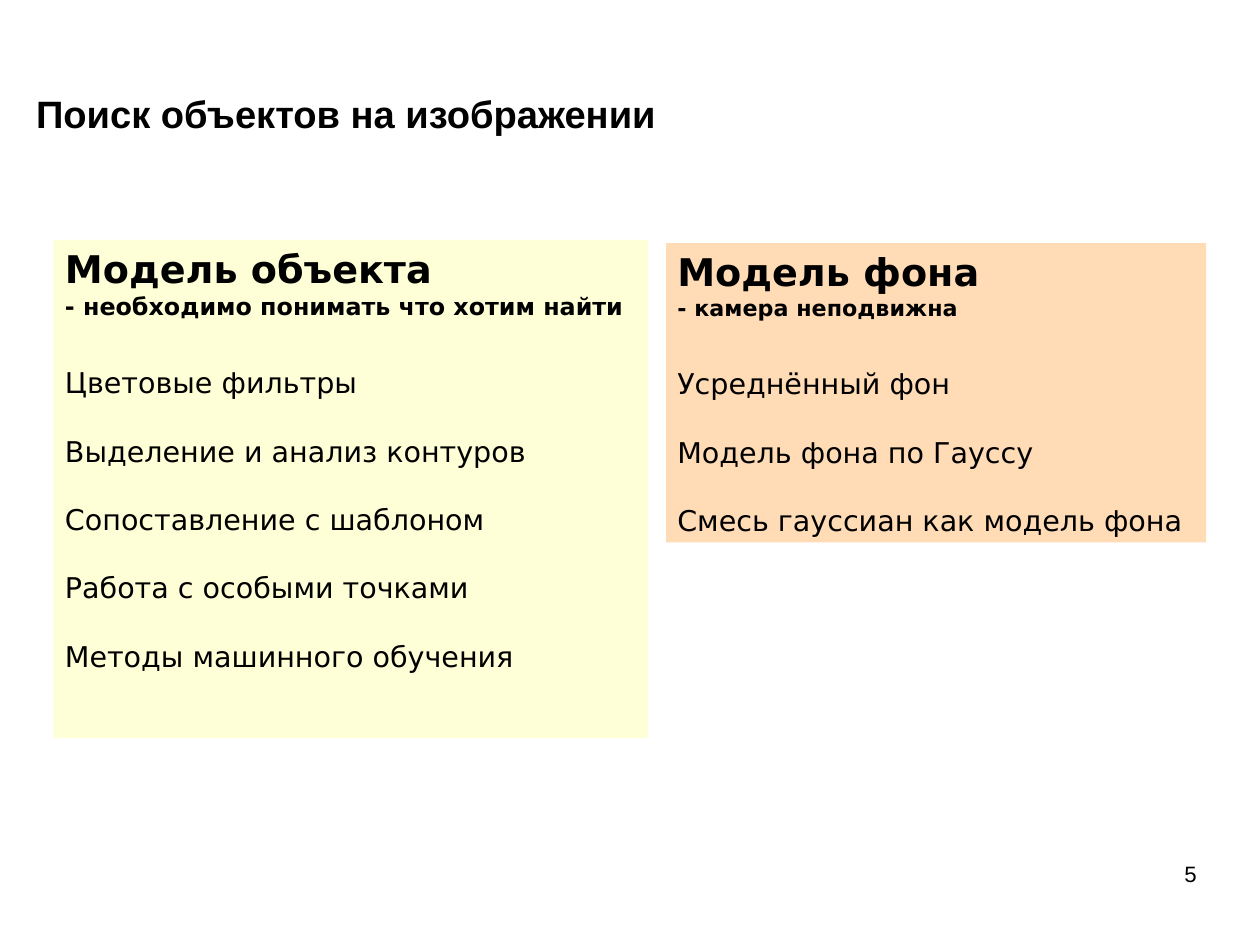
from pptx import Presentation
from pptx.dml.color import RGBColor
from pptx.enum.shapes import MSO_SHAPE
from pptx.enum.text import MSO_ANCHOR, PP_ALIGN
from pptx.util import Cm, Inches, Pt

deck = Presentation()
deck.slide_width, deck.slide_height = Cm(28), Cm(21)
slide = deck.slides.add_slide(deck.slide_layouts[6])
col, row = deck.slide_width / 100, deck.slide_height / 100

HEAD = {"name": "DejaVu Sans", "size": Pt(24), "bold": True}
ITEM = {"name": "DejaVu Sans", "size": Pt(18), "bold": False}
TITLE = {"name": "Arial", "size": Pt(24), "bold": True}
PAGE = {"name": "Arial", "size": Pt(14), "bold": False}


def place(left, top, width, height):
    """Turn hundredths of the slide into lengths."""
    return [int(n) for n in (left * col, top * row, width * col, height * row)]


def write(frame, lines, pad, form):
    """Fill a text frame with (text, font values, space before) lines."""
    frame.word_wrap = True
    margins = {"margin_left": pad, "margin_right": pad,
               "margin_top": pad / 2, "margin_bottom": pad / 2}
    for side, size in margins.items():
        setattr(frame, side, Inches(size))
    frame.vertical_anchor = form["anchor"]
    for i, (text, font, gap) in enumerate(lines):
        para = frame.add_paragraph() if i else frame.paragraphs[0]
        para.text, para.alignment = text, form["align"]
        if gap:
            para.space_before = Pt(gap)
        for key, value in font.items():
            setattr(para.font, key, value)
        para.font.color.rgb = RGBColor.from_string("000000")


panels = [
    ((4.26, 25.39, 47.19, 52.72), "FFFFD7", "Модель объекта",
     "- необходимо понимать что хотим найти", 15,
     ["Цветовые фильтры", "Выделение и анализ контуров",
      "Сопоставление с шаблоном", "Работа с особыми точками",
      "Методы машинного обучения"]),
    ((52.86, 25.72, 42.86, 31.68), "FFDBB6", "Модель фона",
     "- камера неподвижна", 14,
     ["Усреднённый фон", "Модель фона по Гауссу",
      "Смесь гауссиан как модель фона"]),
]
for area, fill, head, note, size, items in panels:
    panel = slide.shapes.add_shape(MSO_SHAPE.RECTANGLE, *place(*area))
    panel.shadow.inherit = False
    panel.fill.solid()
    panel.fill.fore_color.rgb = RGBColor.from_string(fill)
    panel.line.fill.background()
    lines = [(head, HEAD, 0), (note, HEAD | {"size": Pt(size)}, 0)]
    lines += [(item, ITEM, 21.5 if i else 28.5) for i, item in enumerate(items)]
    write(panel.text_frame, lines, 0.1,
          {"anchor": MSO_ANCHOR.TOP, "align": PP_ALIGN.LEFT})

labels = [
    ((2.86, 9.75, 57.89, 4.47), "Поиск объектов на изображении", TITLE,
     {"anchor": MSO_ANCHOR.MIDDLE, "align": PP_ALIGN.LEFT}),
    ((71.67, 91.05, 23.3, 6.89), "5", PAGE,
     {"anchor": MSO_ANCHOR.TOP, "align": PP_ALIGN.RIGHT}),
]
for area, text, font, form in labels:
    label = slide.shapes.add_textbox(*place(*area))
    write(label.text_frame, [(text, font, 0)], 0, form)

deck.save("out.pptx")
